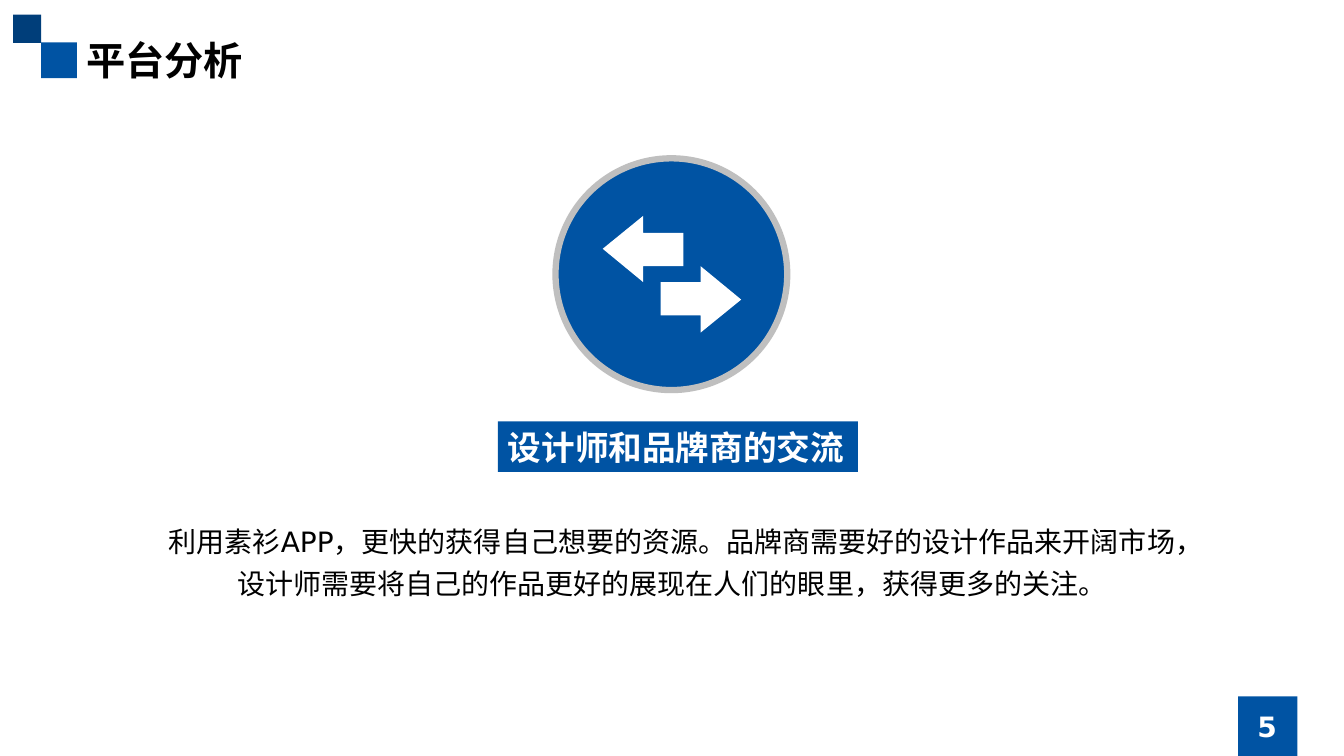
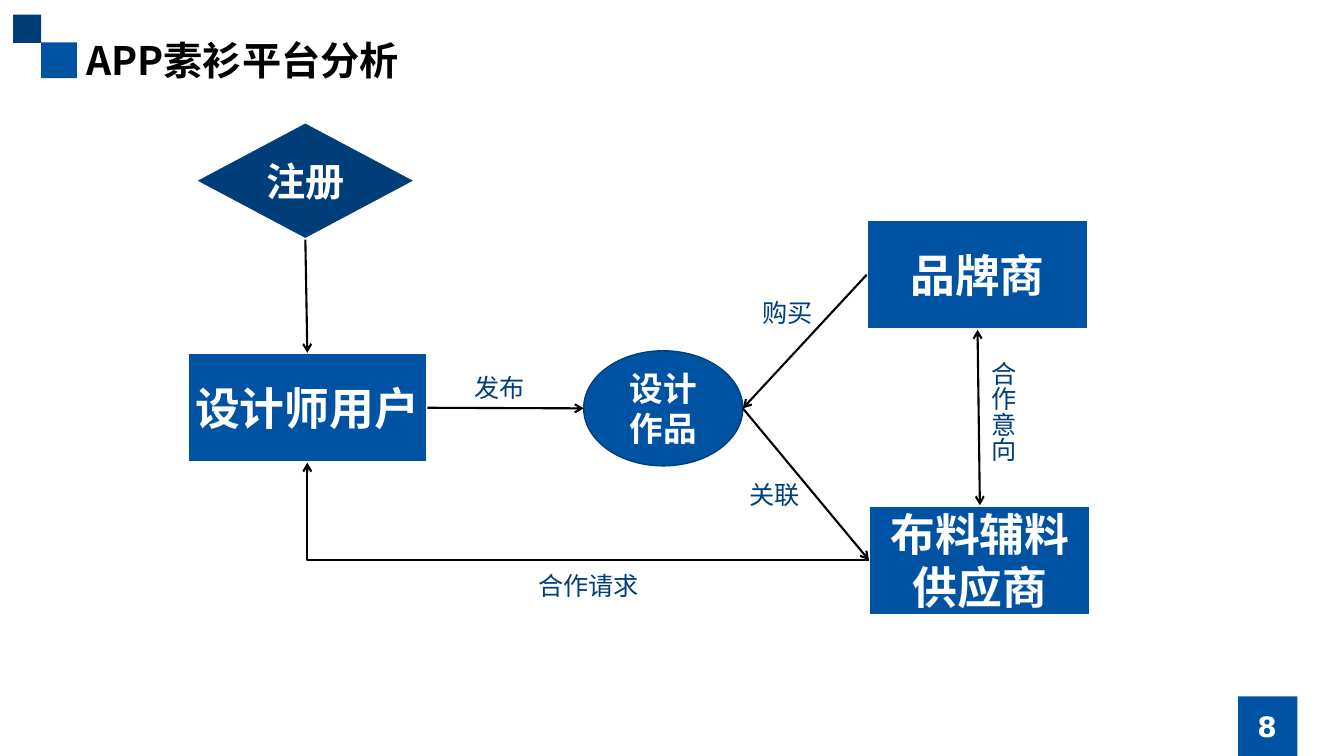
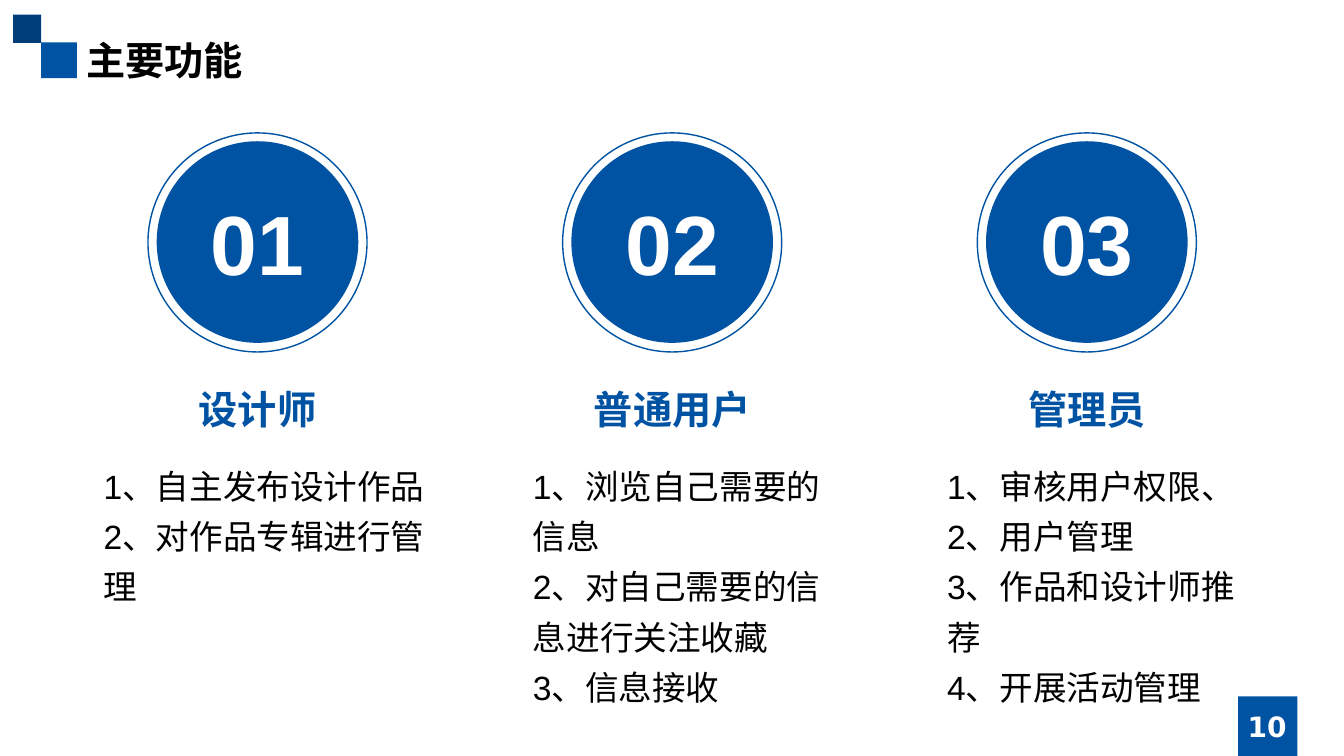
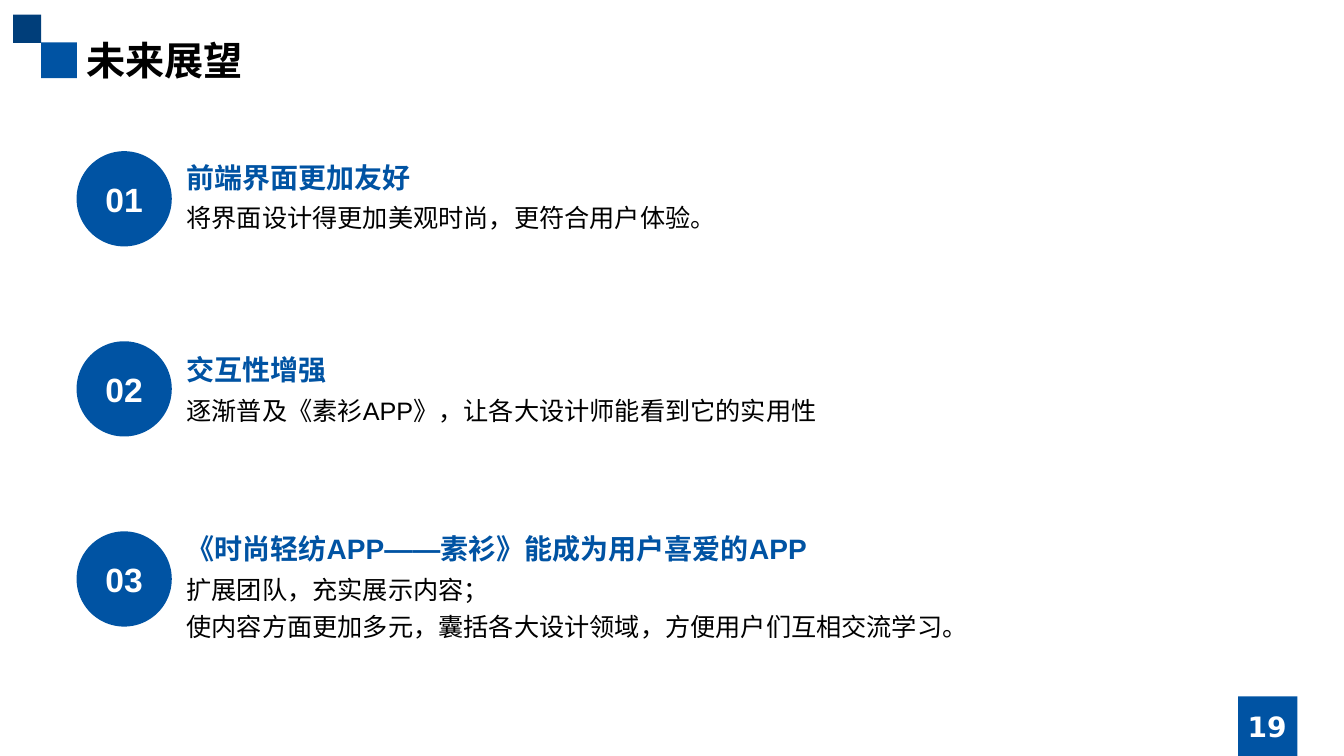
from lxml import etree
from pptx import Presentation
from pptx.dml.color import RGBColor
from pptx.enum import shapes, text
from pptx.oxml import ns
from pptx.util import Cm, Pt

BLUE = RGBColor(0x00, 0x53, 0xA3)
NAVY = RGBColor(0x00, 0x3E, 0x7A)
GRAY = RGBColor(0xBF, 0xBF, 0xBF)
WHITE = RGBColor(0xFF, 0xFF, 0xFF)
BLACK = RGBColor(0x00, 0x00, 0x00)
HAN, LATIN, SANS = "Noto Sans CJK SC", "Arial", "DejaVu Sans"
KIND = shapes.MSO_SHAPE
MIDDLE = text.MSO_ANCHOR.MIDDLE
LEFT, CENTER = text.PP_ALIGN.LEFT, text.PP_ALIGN.CENTER
SIDES = {"top": (0.5, 0), "left": (0, 0.5), "bottom": (0.5, 1), "right": (1, 0.5)}


def assign(item, values):
    for name, value in values.items():
        setattr(item, name, value)


def write(shape, lines, size, color, font=LATIN, bold=False, align=LEFT,
          space=None, **frame):
    body = shape.text_frame
    assign(body, {"word_wrap": True, **frame})
    body.text = "\n".join(lines) if isinstance(lines, list) else lines
    for para in body.paragraphs:
        assign(para, {"alignment": align, "line_spacing": space})
        for run in para.runs:
            assign(run.font, {"size": Pt(size), "bold": bold, "name": font})
            run.font.color.rgb = color
            east = etree.SubElement(run.font._element, ns.qn("a:ea"))
            east.set("typeface", HAN)


def label(slide, box, lines, size, color, **style):
    shape = slide.shapes.add_textbox(*map(Cm, box))
    write(shape, lines, size, color, **style)
    return shape


def paint(shape, fill=None, edge=None, width=1):
    shape.shadow.inherit = False
    if fill is None:
        shape.fill.background()
    else:
        shape.fill.solid()
        shape.fill.fore_color.rgb = fill
    if edge is None:
        shape.line.fill.background()
    else:
        shape.line.color.rgb = edge
        shape.line.width = Pt(width)


def block(slide, kind, box, fill=None, edge=None, width=1):
    shape = slide.shapes.add_shape(kind, *map(Cm, box))
    paint(shape, fill, edge, width)
    return shape


def disc(slide, x, y, side, number, size):
    shape = block(slide, KIND.OVAL, (x, y, side, side), BLUE)
    write(shape, number, size, WHITE, bold=True, align=CENTER, vertical_anchor=MIDDLE)


def node(slide, kind, box, words, size=32, fill=BLUE, font=LATIN):
    shape = block(slide, kind, box, fill, WHITE, 2)
    write(shape, words, size, WHITE, font, True, CENTER,
          vertical_anchor=MIDDLE, margin_left=0, margin_right=0)
    return shape


def point(shape, side):
    across, down = SIDES[side]
    return (int(shape.left + across * shape.width),
            int(shape.top + down * shape.height))


def link(slide, start, out, end, into, both=False, bent=False):
    kind = shapes.MSO_CONNECTOR.ELBOW if bent else shapes.MSO_CONNECTOR.STRAIGHT
    wire = slide.shapes.add_connector(kind, *point(start, out), *point(end, into))
    wire.line.color.rgb = BLACK
    wire.line.width = Pt(1.5)
    props = wire._element.spPr
    if bent:
        props.find(ns.qn("a:prstGeom")).set("prst", "bentConnector2")
    for tip in ("headEnd", "tailEnd") if both else ("tailEnd",):
        etree.SubElement(props.get_or_add_ln(), ns.qn("a:" + tip)).set("type", "arrow")
    etree.SubElement(props, ns.qn("a:effectLst"))


def page(deck, title, number):
    slide = deck.slides.add_slide(deck.slide_layouts[6])
    for x, y, side, fill in ((1.04, 1.07, 0.9, BLUE), (0.33, 0.37, 0.71, NAVY),
                             (31.2, 17.55, 1.5, BLUE)):
        block(slide, KIND.RECTANGLE, (x, y, side, side), fill)
    label(slide, (1.93, 0.79, 30, 1.5), title, 28, BLACK, font=HAN, bold=True)
    label(slide, (30, 17.8, 3.87, 1.02), number, 20, WHITE, font=SANS, bold=True,
          align=CENTER, vertical_anchor=MIDDLE)
    return slide


def swap(slide):
    arrow = [(17.22, 6.71), (16.21, 6.71), (16.21, 7.11), (15.19, 6.27),
             (16.21, 5.44), (16.21, 5.87), (17.22, 5.87)]
    turned = [(33.87 - x, 13.82 - y) for x, y in arrow]
    first, second = [[(Cm(x), Cm(y)) for x, y in part] for part in (arrow, turned)]
    pen = slide.shapes.build_freeform(*first[0], scale=1.0)
    pen.add_line_segments(first[1:], close=True)
    pen.move_to(*second[0])
    pen.add_line_segments(second[1:], close=True)
    paint(pen.convert_to_shape(), WHITE)


def exchange(deck):
    slide = page(deck, "平台分析", "5")
    label(slide, (3.87, 12.88, 26.13, 2.39),
          "利用素衫APP，更快的获得自己想要的资源。品牌商需要好的设计作品来开阔市场，"
          "设计师需要将自己的作品更好的展现在人们的眼里，获得更多的关注。",
          20, BLACK, font=SANS, align=CENTER, space=1.25, vertical_anchor=MIDDLE)
    tag = block(slide, KIND.RECTANGLE, (12.55, 10.62, 9.07, 1.27), BLUE)
    write(tag, "设计师和品牌商的交流", 24, WHITE, SANS, True,
          vertical_anchor=MIDDLE, word_wrap=False)
    block(slide, KIND.OVAL, (14, 3.99, 5.84, 5.84), BLUE, GRAY, 4.5)
    swap(slide)


def flow(deck):
    slide = page(deck, "APP素衫平台分析", "8")
    user = node(slide, KIND.RECTANGLE, (4.72, 8.89, 6.05, 2.77), "设计师用户")
    enrol = node(slide, KIND.FLOWCHART_DECISION, (4.9, 3.07, 5.59, 2.97), "注册",
                 28, NAVY, HAN)
    brand = node(slide, KIND.RECTANGLE, (21.84, 5.54, 5.59, 2.77), "品牌商")
    cloth = node(slide, KIND.RECTANGLE, (21.9, 12.73, 5.59, 2.77), "布料辅料供应商")
    work = block(slide, KIND.OVAL, (14.71, 8.84, 4.01, 2.9), BLUE, NAVY)
    write(work, "设计作品", 24, WHITE, HAN, True, CENTER, vertical_anchor=MIDDLE)
    link(slide, enrol, "bottom", user, "top")
    link(slide, user, "right", work, "left")
    link(slide, work, "right", cloth, "left")
    link(slide, brand, "left", work, "right")
    link(slide, brand, "bottom", cloth, "top", both=True)
    link(slide, cloth, "left", user, "bottom", bent=True)
    for x, y, wide, words in ((18.64, 11.96, 2.36, "关联"), (18.97, 7.37, 2.11, "购买"),
                              (11.71, 9.25, 2.11, "发布"), (13.31, 14.25, 3.05, "合作请求")):
        label(slide, (x, y, wide, 1.02), words, 18, NAVY, font=HAN)
    intent = label(slide, (24.51, 8.86, 1.27, 3.28), "合作意向", 18, NAVY, font=HAN)
    intent.text_frame._txBody.bodyPr.set("vert", "eaVert")


def roles(deck):
    slide = page(deck, "主要功能", "10")
    columns = (
        ("设计师", 2.36, 8.99, ["1、自主发布设计作品", "2、对作品专辑进行管理"]),
        ("普通用户", 13.18, 8.18, ["1、浏览自己需要的信息", "2、对自己需要的信息进行关注收藏",
                               "3、信息接收"]),
        ("管理员", 23.62, 8, ["1、审核用户权限、2、用户管理", "3、作品和设计师推荐",
                           "4、开展活动管理"]),
    )
    for i, (role, x, wide, tasks) in enumerate(columns):
        mid = 6.49 + i * 10.45
        disc(slide, mid - 2.54, 3.56, 5.08, f"{i + 1:02}", 60)
        block(slide, KIND.OVAL, (mid - 2.76, 3.35, 5.52, 5.52), edge=BLUE)
        label(slide, (mid - 3.75, 9.58, 7.5, 1.45), role, 28, BLUE, bold=True,
              align=CENTER)
        label(slide, (x, 11.35, wide, 6.68), tasks, 24, BLACK, space=1.25)


def outlook(deck):
    slide = page(deck, "未来展望", "19")
    goals = (
        ("前端界面更加友好", 3.91, 4.78, ["将界面设计得更加美观时尚，更符合用户体验。"]),
        ("交互性增强", 8.76, 9.65, ["逐渐普及《素衫APP》，让各大设计师能看到它的实用性"]),
        ("《时尚轻纺APP——素衫》能成为用户喜爱的APP", 13.28, 14.15,
         ["扩展团队，充实展示内容；",
          "使内容方面更加多元，囊括各大设计领域，方便用户们互相交流学习。"]),
    )
    for i, (goal, high, low, lines) in enumerate(goals):
        disc(slide, 1.93, 3.81 + i * 4.79, 2.4, f"{i + 1:02}", 24)
        label(slide, (4.45, low, 27.5, 1.1 * len(lines)), lines, 18, BLACK, space=1.25)
        label(slide, (4.45, high, 27.5, 1.15), goal, 20, BLUE, bold=True)


def main():
    deck = Presentation()
    assign(deck, {"slide_width": Cm(33.87), "slide_height": Cm(19.05)})
    for build in (exchange, flow, roles, outlook):
        build(deck)
    deck.save("out.pptx")


main()
